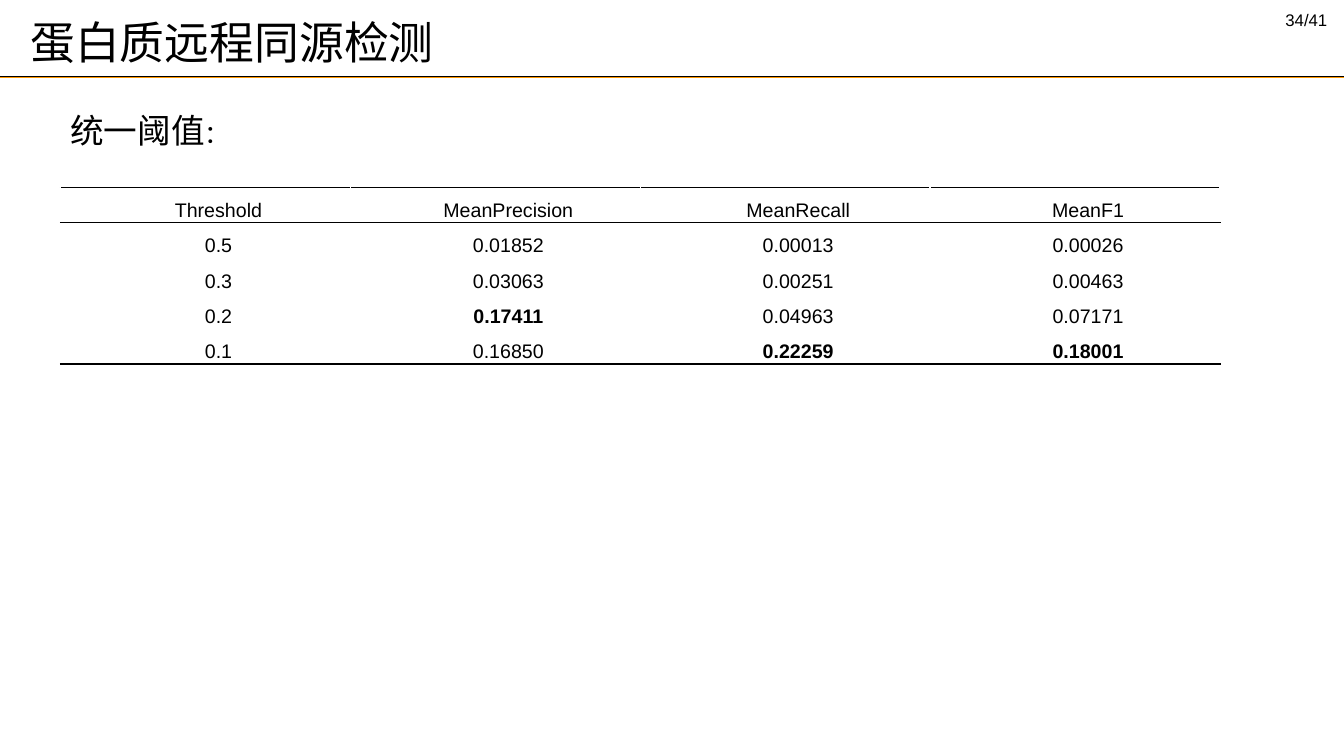
from lxml import etree
from pptx import Presentation
from pptx.dml.color import RGBColor
from pptx.enum.shapes import MSO_CONNECTOR
from pptx.enum.text import MSO_ANCHOR, MSO_AUTO_SIZE, PP_ALIGN
from pptx.oxml.ns import qn
from pptx.util import Inches, Pt

LEFT, CENTER = PP_ALIGN.LEFT, PP_ALIGN.CENTER
MIDDLE = MSO_ANCHOR.MIDDLE
NO_FIT = MSO_AUTO_SIZE.NONE
STRAIGHT = MSO_CONNECTOR.STRAIGHT
BLACK, WHITE, ORANGE = "000000", "FFFFFF", "FF9900"
WIDTH, HEIGHT = 13.33, 7.5

ROWS = [
    ["Threshold", "MeanPrecision", "MeanRecall", "MeanF1"],
    ["0.5", "0.01852", "0.00013", "0.00026"],
    ["0.3", "0.03063", "0.00251", "0.00463"],
    ["0.2", "0.17411", "0.04963", "0.07171"],
    ["0.1", "0.16850", "0.22259", "0.18001"],
]
BEST = {"0.17411", "0.22259", "0.18001"}


def color(code):
    return RGBColor.from_string(code)


def write(para, text, size=14, bold=False, align=LEFT, ink=BLACK):
    para.alignment = align
    run = para.add_run()
    run.text = text
    font = run.font
    font.name, font.size, font.bold = "Arial", Pt(size), bold
    font.color.rgb = color(ink)


def label(slide, box, parts):
    """Add one line of text made of (text, size) parts."""
    frame = slide.shapes.add_textbox(*map(Inches, box)).text_frame
    frame.word_wrap = False
    for text, size in parts:
        write(frame.paragraphs[0], text, size=size)


def rule(slide, y, ink):
    line = slide.shapes.add_connector(
        STRAIGHT, 0, Inches(y), Inches(WIDTH), Inches(y))
    line.line.color.rgb = color(ink)
    line.line.width = Pt(0.75)
    etree.SubElement(line._element.spPr, qn("a:effectLst"))


def header(slide, box, title, page):
    x, y, w, h = box
    # Page number and double rule
    label(slide, (x + w - 0.68, y + 0.05, 1.05, 0.3), [(page, 12)])
    rule(slide, y + h - 0.01, BLACK)
    rule(slide, y + h, ORANGE)
    # Title
    head = slide.shapes.title
    head.left, head.top = Inches(x + 0.2), Inches(y + 0.1)
    head.width, head.height = Inches(7.92), Inches(0.62)
    frame = head.text_frame
    frame.auto_size, frame.vertical_anchor = NO_FIT, MIDDLE
    write(frame.paragraphs[0], title, size=32)


def border(cell, side, ink):
    props = cell._tc.get_or_add_tcPr()
    line = etree.SubElement(props, qn("a:ln" + side), w=str(Pt(1)))
    fill = etree.SubElement(line, qn("a:solidFill"))
    etree.SubElement(fill, qn("a:srgbClr"), val=ink)


def scores(slide, box, rows):
    x, y, w, h = map(Inches, box)
    table = slide.shapes.add_table(len(rows), len(rows[0]), x, y, w, h).table
    table.first_row = table.horz_banding = False
    last = len(rows) - 1
    for r, row in enumerate(rows):
        # Black lines frame the header row and close the table
        top = BLACK if r in (0, 1) else WHITE
        bottom = BLACK if r in (0, last) else WHITE
        for c, text in enumerate(row):
            cell = table.cell(r, c)
            for side, ink in zip("LRTB", (WHITE, WHITE, top, bottom)):
                border(cell, side, ink)
            cell.fill.solid()
            cell.fill.fore_color.rgb = color(WHITE)
            cell.vertical_anchor = MIDDLE
            cell.margin_left = cell.margin_right = Inches(0.07)
            cell.margin_top = cell.margin_bottom = 0
            para = cell.text_frame.paragraphs[0]
            para.line_spacing = 1.5
            para._p.get_or_add_pPr().set("indent", str(Inches(0.26)))
            write(para, text, bold=text in BEST, align=CENTER)


def main():
    deck = Presentation()
    deck.slide_width, deck.slide_height = Inches(WIDTH), Inches(HEIGHT)
    slide = deck.slides.add_slide(deck.slide_layouts[5])
    header(slide, (0, 0, WIDTH, 0.77), "蛋白质远程同源检测", "34/41")
    label(slide, (0.6, 1.04, 1.8, 0.5), [("统一阈值", 24), ("：", 18)])
    scores(slide, (0.6, 1.86, 11.5, 1.75), ROWS)
    deck.save("out.pptx")


if __name__ == "__main__":
    main()
